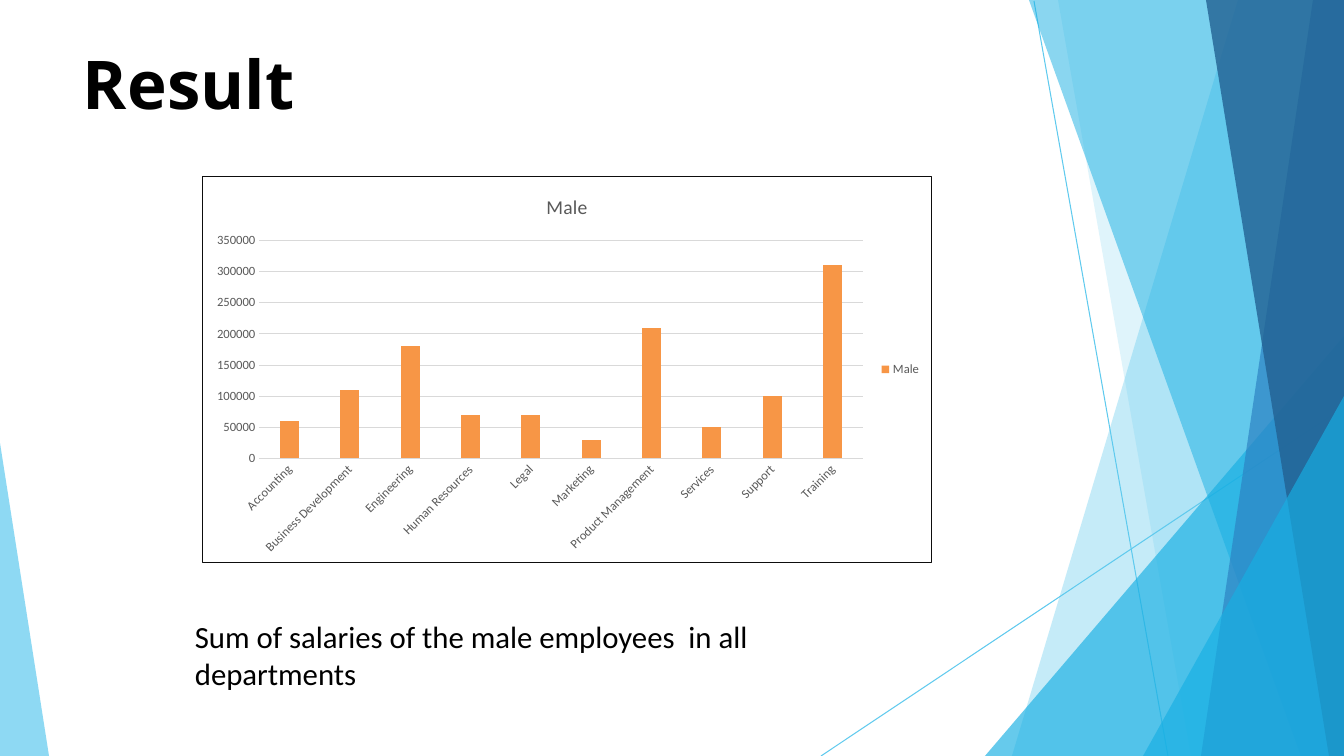
from lxml import etree
from pptx import Presentation
from pptx import util as u
from pptx.chart.data import CategoryChartData
from pptx.dml.color import RGBColor
from pptx.enum import chart as charts, shapes, text
from pptx.oxml import parse_xml
from pptx.oxml.ns import nsdecls, qn

PX = 12192000 / 1344
WIDTH, HEIGHT = 1344, 756
GREY, GRID = "595959", "D9D9D9"


def px(*lengths):
    """Turn pixel lengths into a list of EMU."""
    return [u.Emu(round(length * PX)) for length in lengths]


def style(font, size, color, name="Calibri", bold=False):
    font.size, font.name, font.bold = u.Pt(size), name, bold
    font.color.rgb = RGBColor.from_string(color)


deck = Presentation()
deck.slide_width, deck.slide_height = px(WIDTH, HEIGHT)
page = deck.slides.add_slide(deck.slide_layouts[5])

# Thin lines behind the facets
for ends in [(1034, 1, 1168, HEIGHT), (WIDTH, 407, 821, HEIGHT)]:
    line = page.shapes.add_connector(shapes.MSO_CONNECTOR.STRAIGHT, *px(*ends))
    line.line.color.rgb = RGBColor.from_string("5FCAEE")
    line.line.width = u.Pt(0.75)
    etree.SubElement(line._element.spPr, qn("a:effectLst"))

# Translucent facets: colour, opacity in percent, corners
right_top, right_bottom = (WIDTH, 0), (WIDTH, HEIGHT)
facets = [
    ("5FCAEE", 36, [right_top, (1238, 0), (1012, HEIGHT), right_bottom]),
    ("5FCAEE", 20, [right_top, (1058, 0), (1191, HEIGHT), right_bottom]),
    ("17AFE3", 66, [(WIDTH, 336), (985, HEIGHT), right_bottom]),
    ("17AFE3", 50, [right_top, (1029, 0), (1301, HEIGHT), right_bottom]),
    ("2D83C3", 70, [right_top, (1313, 0), (1201, HEIGHT), right_bottom]),
    ("226192", 80, [right_top, (1206, 0), (1329, HEIGHT), right_bottom]),
    ("17AFE3", 66, [(WIDTH, 396), (1143, HEIGHT), right_bottom]),
    ("5FCAEE", 70, [(0, 443), (0, HEIGHT), (49, HEIGHT)]),
]
for color, opacity, corners in facets:
    builder = page.shapes.build_freeform(*corners[0], scale=PX)
    builder.add_line_segments(corners[1:], close=True)
    facet = builder.convert_to_shape()
    facet.shadow.inherit = False
    facet.line.fill.background()
    facet.fill.solid()
    facet.fill.fore_color.rgb = RGBColor.from_string(color)
    tint = facet._element.spPr.find(".//" + qn("a:srgbClr"))
    etree.SubElement(tint, qn("a:alpha"), val=str(opacity * 1000))

# Title
title = page.shapes.title
title.left, title.top, title.width, title.height = px(83, 41, 1177, 84)
frame = title.text_frame
frame.margin_left = frame.margin_top = frame.margin_right = frame.margin_bottom = 0
frame.vertical_anchor = text.MSO_ANCHOR.MIDDLE
frame.auto_size = text.MSO_AUTO_SIZE.NONE
frame.text = "Result"
para = frame.paragraphs[0]
para.alignment = text.PP_ALIGN.LEFT
style(para.runs[0].font, 48, "000000", "Noto Sans", bold=True)

# Salary chart
salaries = {
    "Accounting": 60000, "Business Development": 110000, "Engineering": 180000,
    "Human Resources": 70000, "Legal": 70000, "Marketing": 30000,
    "Product Management": 210000, "Services": 50000, "Support": 100000,
    "Training": 310000,
}
data = CategoryChartData()
data.categories = list(salaries)
data.add_series("Male", list(salaries.values()))
chart = page.shapes.add_chart(
    charts.XL_CHART_TYPE.COLUMN_CLUSTERED, *px(202, 176, 730, 387), data).chart
style(chart.font, 10, "000000")

chart.has_title = True
chart.chart_title.include_in_layout = False
chart.chart_title.text_frame.text = "Male"
style(chart.chart_title.text_frame.paragraphs[0].runs[0].font, 14, GREY)

chart.has_legend = True
chart.legend.position = charts.XL_LEGEND_POSITION.RIGHT
chart.legend.include_in_layout = False
style(chart.legend.font, 9, GREY)

plot = chart.plots[0]
plot.gap_width, plot.overlap, plot.vary_by_categories = 219, -27, False
plot.series[0].format.fill.solid()
plot.series[0].format.fill.fore_color.rgb = RGBColor.from_string("F79646")

departments, amounts = chart.category_axis, chart.value_axis
for axis in (departments, amounts):
    axis.major_tick_mark = axis.minor_tick_mark = charts.XL_TICK_MARK.NONE
    style(axis.tick_labels.font, 9, GREY)
departments._element.find(qn("c:txPr")).find(qn("a:bodyPr")).set("rot", "-2700000")
amounts.minimum_scale, amounts.maximum_scale, amounts.major_unit = 0, 350000, 50000
amounts.format.line.fill.background()
amounts.has_major_gridlines = True
for rule in (departments.format.line, amounts.major_gridlines.format.line):
    rule.color.rgb = RGBColor.from_string(GRID)
    rule.width = u.Pt(0.75)

chart.element.find(qn("c:chart")).addnext(parse_xml(
    f'<c:spPr {nsdecls("c", "a")}>'
    '<a:solidFill><a:srgbClr val="FFFFFF"/></a:solidFill>'
    '<a:ln w="9525"><a:solidFill><a:srgbClr val="0D0D0D"/></a:solidFill></a:ln>'
    '</c:spPr>'))

# Caption
box = page.shapes.add_textbox(*px(185, 613, 731, 85))
box.text_frame.word_wrap = True
box.text_frame.text = "Sum of salaries of the male employees  in all departments"
style(box.text_frame.paragraphs[0].runs[0].font, 22, "000000")

deck.save("out.pptx")
